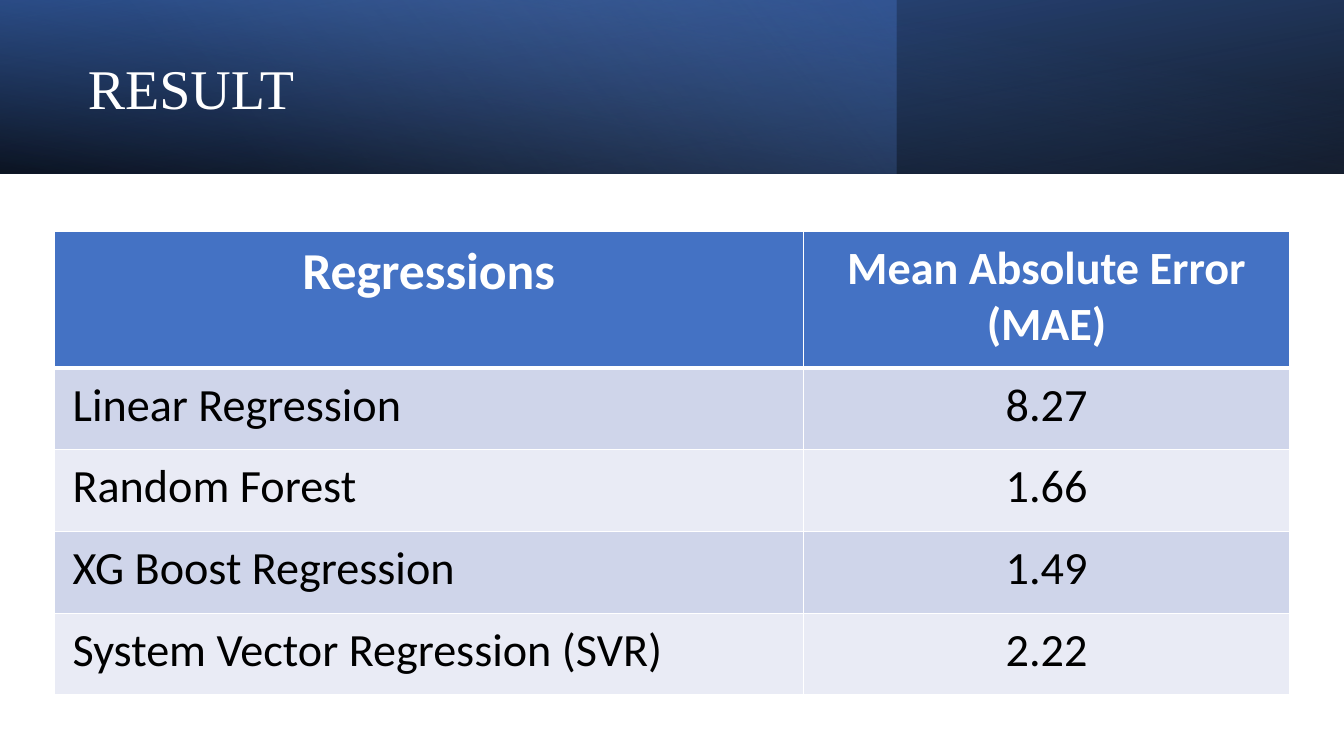
from pptx import Presentation
from pptx.dml.color import RGBColor
from pptx.enum.shapes import MSO_SHAPE
from pptx.enum.text import MSO_ANCHOR, MSO_AUTO_SIZE, PP_ALIGN
from pptx.oxml import parse_xml
from pptx.oxml.ns import nsdecls, qn
from pptx.util import Cm, Pt

RECTANGLE = MSO_SHAPE.RECTANGLE
MIDDLE = MSO_ANCHOR.MIDDLE
NO_AUTOFIT = MSO_AUTO_SIZE.NONE
LEFT, CENTER = PP_ALIGN.LEFT, PP_ALIGN.CENTER
TITLE_ONLY = 5

COLORS = {
    "white": "FFFFFF",
    "black": "000000",
    "blue": "4472C4",
    "dark_blue": "2F5597",
    "light_blue": "8FAADC",
    "odd_row": "CFD5EA",
    "even_row": "E9EBF5",
}
SLIDE_WIDTH, SLIDE_HEIGHT = 33.87, 19.05
BAND_HEIGHT = 4.37
COLUMN_WIDTHS = (18.87, 12.27)
HEADER_HEIGHT, ROW_HEIGHT = 3.45, 2.06
HEADERS = (("Regressions", 37), ("Mean Absolute Error\n(MAE)", 33))
RESULTS = (
    ("Linear Regression", "8.27"),
    ("Random Forest", "1.66"),
    ("XG Boost Regression", "1.49"),
    ("System Vector Regression (SVR)", "2.22"),
)


def write_text(frame, text, size, color, font="Calibri", bold=False,
               align=LEFT, line_spacing=None, space_after=None):
    for index, line in enumerate(text.split("\n")):
        para = frame.add_paragraph() if index else frame.paragraphs[0]
        para.alignment = align
        if line_spacing is not None:
            para.line_spacing = line_spacing
        if space_after is not None:
            para.space_after = Pt(space_after)
        span = para.add_run()
        span.text = line
        span.font.name = font
        span.font.size = Pt(size)
        span.font.bold = bold
        span.font.color.rgb = RGBColor.from_string(COLORS[color])


class SlideBuilder:
    def __init__(self, page):
        self.page = page

    def gradient_band(self, width, stops, angle, flipped=False, rotation=0):
        band = self.page.shapes.add_shape(
            RECTANGLE, 0, 0, Cm(width), Cm(BAND_HEIGHT))
        band.shadow.inherit = False
        band.line.fill.background()
        band.rotation = rotation
        properties = band.element.spPr
        if flipped:
            properties.find(qn("a:xfrm")).set("flipH", "1")
        stop_xml = "".join(
            f'<a:gs pos="{position * 1000}"><a:srgbClr val="{COLORS[color]}">'
            f'<a:alpha val="{opacity * 1000}"/></a:srgbClr></a:gs>'
            for position, color, opacity in stops)
        band.fill.background()
        properties.replace(properties.find(qn("a:noFill")), parse_xml(
            f'<a:gradFill {nsdecls("a")} rotWithShape="1">'
            f'<a:gsLst>{stop_xml}</a:gsLst>'
            f'<a:lin ang="{angle * 60000}" scaled="0"/></a:gradFill>'))

    def title(self, text):
        title = self.page.shapes.title
        title.left, title.top = Cm(1.96), Cm(0.69)
        title.width, title.height = Cm(19.61), Cm(3.23)
        frame = title.text_frame
        frame.word_wrap = True
        frame.auto_size = NO_AUTOFIT
        frame.vertical_anchor = MIDDLE
        write_text(frame, text, 40, "white", font="Times New Roman",
                   line_spacing=0.9, space_after=6)
        self.page.shapes._spTree.append(title.element)

    def cell(self, cell, text, size, fill, color, bold, align, top, bottom):
        cell.margin_left = cell.margin_right = Cm(0.46)
        cell.margin_top = cell.margin_bottom = Cm(0.23)
        write_text(cell.text_frame, text, size, color, bold=bold, align=align)
        cell.fill.solid()
        cell.fill.fore_color.rgb = RGBColor.from_string(COLORS[fill])
        properties = cell._tc.get_or_add_tcPr()
        borders = (("lnL", 1), ("lnR", 1), ("lnT", top), ("lnB", bottom))
        for index, (side, width) in enumerate(borders):
            properties.insert(index, parse_xml(
                f'<a:{side} {nsdecls("a")} w="{Pt(width)}"><a:solidFill>'
                f'<a:srgbClr val="{COLORS["white"]}"/></a:solidFill></a:{side}>'))

    def results_table(self, left, top):
        height = HEADER_HEIGHT + ROW_HEIGHT * len(RESULTS)
        table = self.page.shapes.add_table(
            len(RESULTS) + 1, len(COLUMN_WIDTHS), Cm(left), Cm(top),
            Cm(sum(COLUMN_WIDTHS)), Cm(height)).table
        for column, width in zip(table.columns, COLUMN_WIDTHS):
            column.width = Cm(width)
        for index, row in enumerate(table.rows):
            row.height = Cm(ROW_HEIGHT if index else HEADER_HEIGHT)
        for column, (text, size) in enumerate(HEADERS):
            self.cell(table.cell(0, column), text, size, "blue", "white",
                      True, CENTER, 1, 3)
        for row, values in enumerate(RESULTS, start=1):
            fill = "odd_row" if row % 2 else "even_row"
            for column, text in enumerate(values):
                self.cell(table.cell(row, column), text, 33, fill, "black",
                          False, CENTER if column else LEFT,
                          3 if row == 1 else 1, 1)


def main():
    deck = Presentation()
    deck.slide_width, deck.slide_height = Cm(SLIDE_WIDTH), Cm(SLIDE_HEIGHT)
    page = deck.slides.add_slide(deck.slide_layouts[TITLE_ONLY])
    builder = SlideBuilder(page)
    builder.gradient_band(
        SLIDE_WIDTH, ((0, "black", 96), (100, "dark_blue", 100)), 100,
        flipped=True, rotation=180)
    builder.gradient_band(
        22.58, ((0, "blue", 41), (74, "light_blue", 0)), 140)
    builder.gradient_band(
        SLIDE_WIDTH, ((0, "black", 63), (78, "blue", 15)), 260, flipped=True)
    builder.title("RESULT")
    builder.results_table(1.37, 5.82)
    deck.save("out.pptx")


if __name__ == "__main__":
    main()
